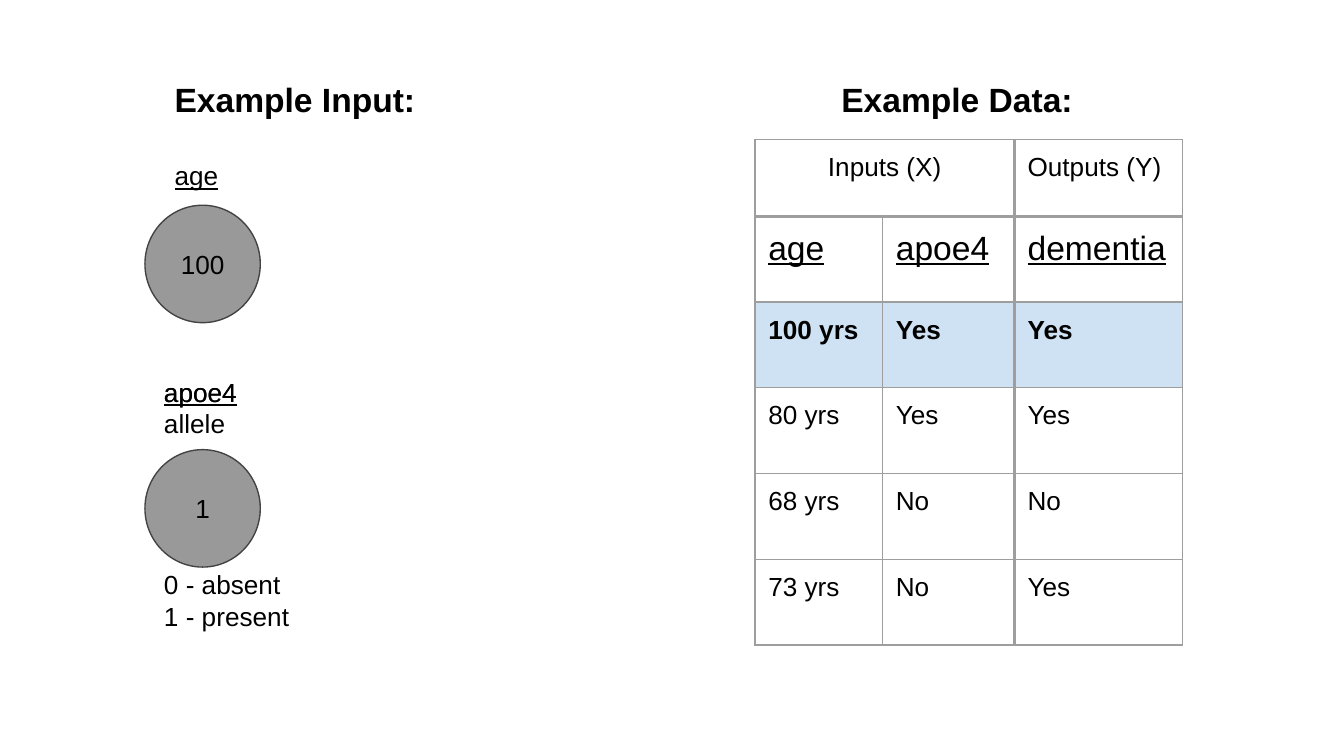
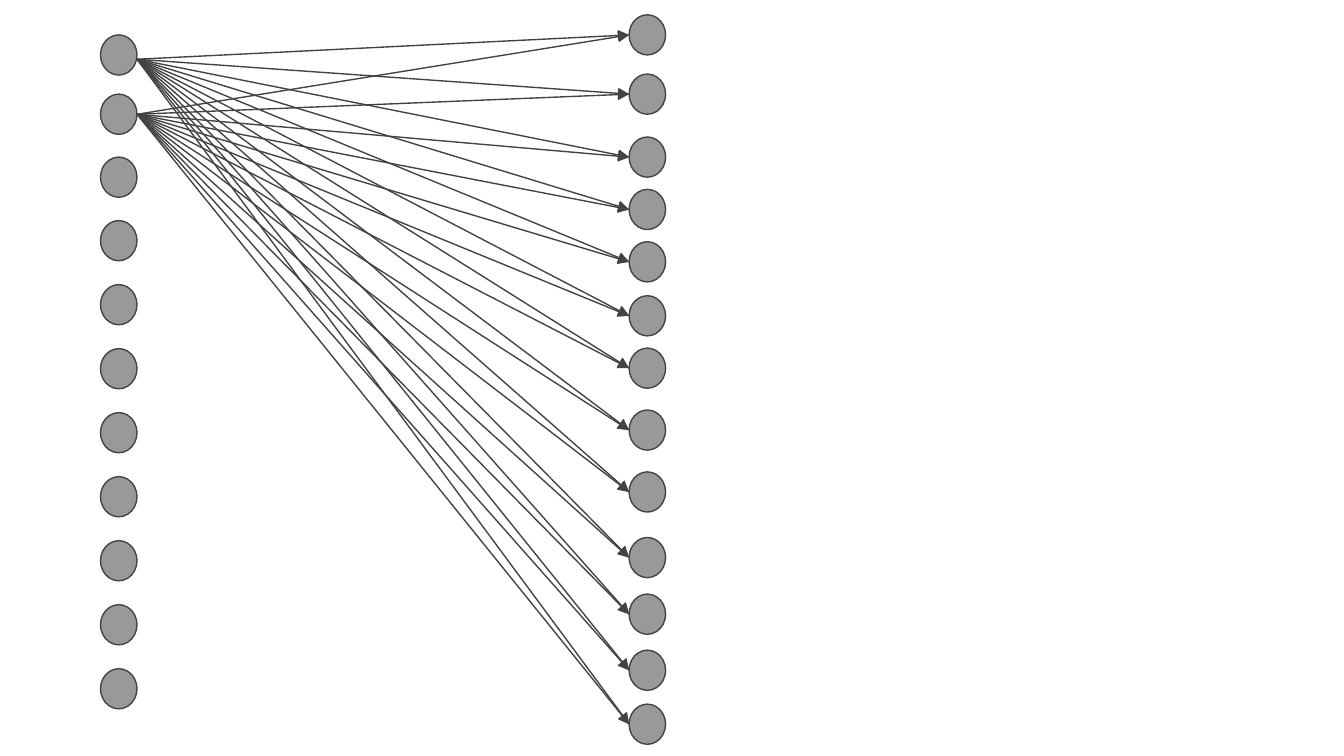
from dataclasses import dataclass
from typing import NamedTuple

from lxml.etree import SubElement
from pptx import Presentation
from pptx.dml.color import RGBColor as RGB
from pptx.enum.shapes import MSO_CONNECTOR as CONN, MSO_SHAPE as SHAPE
from pptx.enum.text import MSO_ANCHOR as ANCHOR, PP_ALIGN as ALIGN
from pptx.oxml.ns import qn
from pptx.util import Cm, Pt


@dataclass(frozen=True)
class Theme:
    font: str = "Arial"
    ink: str = "000000"
    node: str = "999999"
    edge: str = "434343"
    grid: str = "9E9E9E"
    highlight: str = "CFE2F3"
    heading: int = 18
    body: int = 14
    thin: float = 0.75
    thick: float = 2.25
    inset: float = 0.25


class Style(NamedTuple):
    size: int
    bold: bool = False
    underline: bool = False
    align: ALIGN = ALIGN.LEFT


class Label(NamedTuple):
    text: str
    left: float
    top: float
    width: float
    height: float
    style: Style


class Node(NamedTuple):
    left: float
    top: float
    width: float
    height: float
    text: str = ""


T = Theme()
HEADING = Style(T.heading, bold=True)
BODY = Style(T.body)
CENTRED = Style(T.body, align=ALIGN.CENTER)
UNDERLINED = Style(T.body, underline=True)
COLUMN_HEAD = Style(T.heading, underline=True)
STRONG = Style(T.body, bold=True)


def write(tf, text: str, style: Style) -> None:
    tf.text = text
    for p in tf.paragraphs:
        p.alignment = style.align
        for r in p.runs:
            r.font.name = T.font
            r.font.size = Pt(style.size)
            r.font.bold = style.bold
            r.font.underline = style.underline
            r.font.color.rgb = RGB.from_string(T.ink)


def set_insets(box) -> None:
    box.margin_left = box.margin_right = Cm(T.inset)
    box.margin_top = box.margin_bottom = Cm(T.inset)


def add_label(s, label: Label) -> None:
    sp = s.shapes.add_textbox(*map(Cm, label[1:5]))
    tf = sp.text_frame
    tf.word_wrap = True
    set_insets(tf)
    write(tf, label.text, label.style)


def add_node(s, node: Node) -> None:
    sp = s.shapes.add_shape(SHAPE.OVAL, *map(Cm, node[:4]))
    sp.shadow.inherit = False
    sp.fill.solid()
    sp.fill.fore_color.rgb = RGB.from_string(T.node)
    sp.line.color.rgb = RGB.from_string(T.edge)
    sp.line.width = Pt(T.thin)
    if node.text:
        tf = sp.text_frame
        set_insets(tf)
        tf.vertical_anchor = ANCHOR.MIDDLE
        write(tf, node.text, CENTRED)


def add_arrow(shapes, x1: float, y1: float, x2: float, y2: float) -> None:
    line = shapes.add_connector(CONN.STRAIGHT, *map(Cm, (x1, y1, x2, y2)))
    line.line.color.rgb = RGB.from_string(T.edge)
    line.line.width = Pt(T.thin)
    sp_pr = line.element.spPr
    SubElement(sp_pr.find(qn("a:ln")), qn("a:tailEnd"), type="triangle")
    SubElement(sp_pr, qn("a:effectLst"))


def add_fan(shapes, x: float, y: float, targets: list[Node]) -> None:
    for node in targets:
        add_arrow(shapes, x, y, node.left, node.top + node.height / 2)


def add_border(cell, side: str, width: float) -> None:
    tc_pr = cell._tc.get_or_add_tcPr()
    ln = SubElement(tc_pr, qn(f"a:ln{side}"), w=str(Pt(width)))
    SubElement(SubElement(ln, qn("a:solidFill")), qn("a:srgbClr"), val=T.grid)


def add_data_table(s) -> None:
    rows = [
        ("Inputs (X)", "", "Outputs (Y)"),
        ("age", "apoe4", "dementia"),
        ("100 yrs", "Yes", "Yes"),
        ("80 yrs", "Yes", "Yes"),
        ("68 yrs", "No", "No"),
        ("73 yrs", "No", "Yes"),
    ]
    styles = {0: BODY, 1: COLUMN_HEAD, 2: STRONG}
    widths = (2.41, 2.49, 3.18)
    heights = [1.45] + [1.62] * 5
    frame = s.shapes.add_table(len(rows), len(widths), Cm(14.27), Cm(2.64),
                               Cm(sum(widths)), Cm(sum(heights)))
    table = frame.table
    table.first_row = table.horz_banding = False
    for column, width in zip(table.columns, widths):
        column.width = Cm(width)
    for row, height in zip(table.rows, heights):
        row.height = Cm(height)
    for i, row in enumerate(rows):
        for j, text in enumerate(row):
            cell = table.cell(i, j)
            set_insets(cell)
            thick = {"L": j == 2, "R": j == 1 or (i, j) == (0, 0),
                     "T": i == 1, "B": i == 0}
            for side, is_thick in thick.items():
                add_border(cell, side, T.thick if is_thick else T.thin)
            if i == 2:
                cell.fill.solid()
                cell.fill.fore_color.rgb = RGB.from_string(T.highlight)
            else:
                cell.fill.background()
            write(cell.text_frame, text, styles.get(i, BODY))
    table.cell(0, 0).merge(table.cell(0, 1))
    write(table.cell(0, 0).text_frame, rows[0][0], CENTRED)


def build_example(s) -> None:
    for top, text in ((3.88, "100"), (8.5, "1")):
        add_node(s, Node(2.74, top, 2.18, 2.22, text))
    for label in (
        Label("Example Input:", 3.05, 1.25, 6.1, 1.09, HEADING),
        Label("Example Data:", 15.65, 1.25, 5.56, 1.37, HEADING),
        Label("age", 3.05, 2.77, 1.96, 1.09, UNDERLINED),
        Label("apoe4 allele", 2.85, 6.86, 1.96, 1.09, BODY),
        Label("apoe4", 2.85, 6.86, 4.65, 1.09, UNDERLINED),
        Label("0 - absent\n1 - present", 2.85, 10.5, 3.23, 1.09, BODY),
    ):
        add_label(s, label)
    add_data_table(s)


def build_network(s) -> None:
    width, height = 0.69, 0.76
    input_tops = [0.66, 1.78, 2.97] + [4.17 + 1.21 * i for i in range(8)]
    output_tops = [0.28, 1.4, 2.59, 3.58, 4.57, 5.59, 6.58,
                   7.75, 8.92, 10.16, 11.23, 12.29, 13.31]
    inputs = [Node(1.9, top, width, height) for top in input_tops]
    outputs = [Node(11.89, top, width, height) for top in output_tops]
    for node in inputs + outputs:
        add_node(s, node)
    start = inputs[0].left + width
    add_fan(s.shapes.add_group_shape().shapes, start, 1.12, outputs)
    add_fan(s.shapes, start, 2.16, outputs)


def main() -> None:
    prs = Presentation()
    prs.slide_width, prs.slide_height = Cm(25.4), Cm(14.29)
    for build in (build_example, build_network):
        build(prs.slides.add_slide(prs.slide_layouts[6]))
    prs.save("out.pptx")


main()
